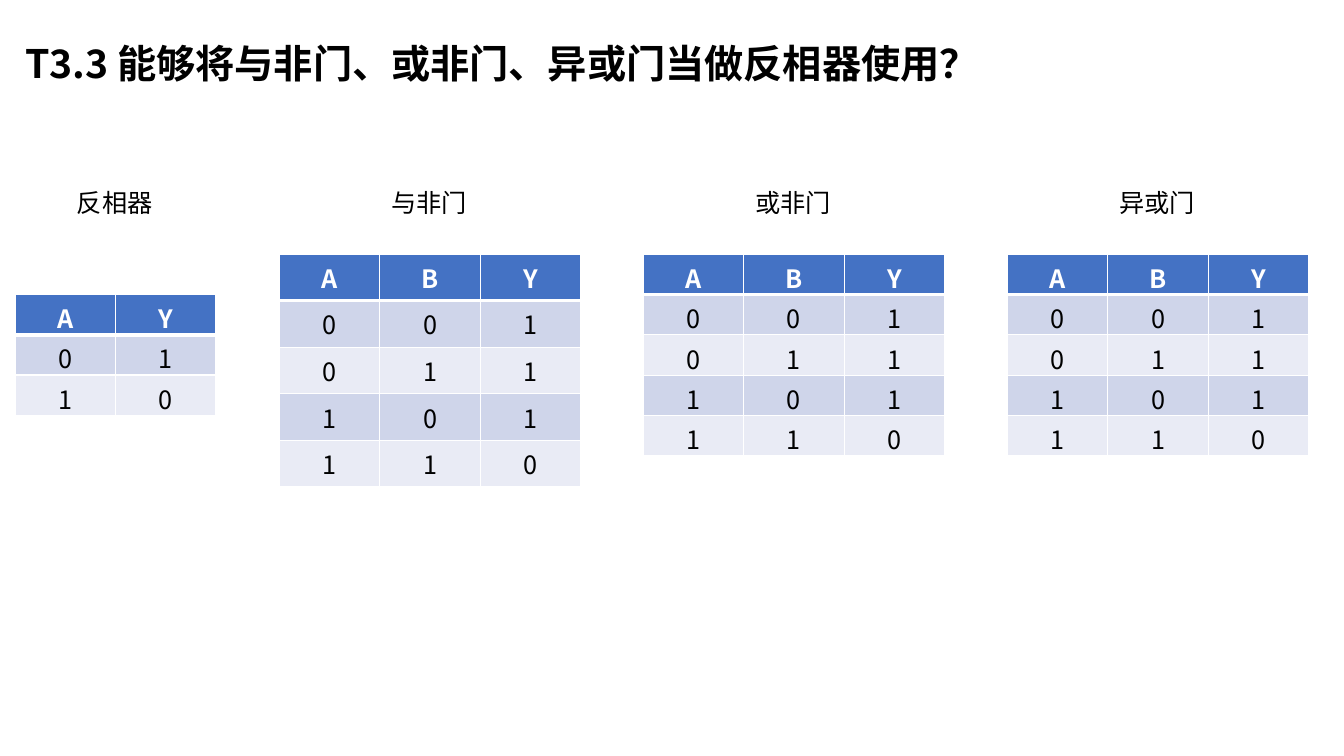
from lxml import etree
from pptx import Presentation
from pptx import util as u
from pptx.dml.color import RGBColor
from pptx.enum import text
from pptx.oxml.ns import qn

PX = 9144


def px(length):
    return u.Emu(round(length * PX))


def rgb(color):
    return RGBColor.from_string(color)


class SlideBuilder:
    font_name = "Noto Sans CJK SC"
    black = "000000"
    white = "FFFFFF"
    header_fill = "4472C4"
    band_fills = ("E9EBF5", "CFD5EA")

    def __init__(self, slide):
        self.slide = slide

    def style(self, paragraph, size, color, bold=False):
        font = paragraph.font
        font.size = u.Pt(size)
        font.bold = bold
        font.color.rgb = rgb(color)
        font.name = self.font_name
        east_asian = etree.SubElement(font._element, qn("a:ea"))
        east_asian.set("typeface", self.font_name)

    def label(self, content, left, top, width, height, size=18, bold=False):
        box = self.slide.shapes.add_textbox(px(left), px(top), px(width), px(height))
        frame = box.text_frame
        frame.word_wrap = False
        frame.auto_size = text.MSO_AUTO_SIZE.SHAPE_TO_FIT_TEXT
        paragraph = frame.paragraphs[0]
        paragraph.text = content
        self.style(paragraph, size, self.black, bold)

    def borders(self, cell, top, bottom):
        properties = cell._tc.get_or_add_tcPr()
        for side, points in (("L", 1), ("R", 1), ("T", top), ("B", bottom)):
            line = etree.SubElement(properties, qn(f"a:ln{side}"))
            line.set("w", str(u.Pt(points)))
            fill = etree.SubElement(line, qn("a:solidFill"))
            etree.SubElement(fill, qn("a:srgbClr")).set("val", self.white)

    def table(self, rows, left, top, width, height):
        frame = self.slide.shapes.add_table(
            len(rows), len(rows[0]), px(left), px(top), px(width), px(height)
        )
        for i, row in enumerate(rows):
            header = i == 0
            for j, value in enumerate(row):
                cell = frame.table.cell(i, j)
                self.borders(cell, 3 if i == 1 else 1, 3 if header else 1)
                cell.fill.solid()
                cell.fill.fore_color.rgb = rgb(
                    self.header_fill if header else self.band_fills[i % 2]
                )
                paragraph = cell.text_frame.paragraphs[0]
                paragraph.text = value
                paragraph.alignment = text.PP_ALIGN.CENTER
                self.style(paragraph, 18, self.white if header else self.black, header)

    def truth_table(self, name, rows, left, top):
        width = 100 * len(rows[0]) - 1
        self.table(rows, left, top, width, 40 * len(rows))
        self.label(name, left + (width - 96) / 2, 181, 96, 40)


def main():
    presentation = Presentation()
    presentation.slide_width = px(1333)
    presentation.slide_height = px(750)
    slide = presentation.slides.add_slide(presentation.slide_layouts[6])
    builder = SlideBuilder(slide)

    gate_rows = ("ABY", "001", "011", "101", "110")
    for i, name in enumerate(("与非门", "或非门", "异或门")):
        builder.truth_table(name, gate_rows, 277 + 361 * i, 252)
    builder.truth_table("反相器", ("AY", "01", "10"), 15, 292)
    builder.label(
        "T3.3 能够将与非门、或非门、异或门当做反相器使用？", 15, 34, 987, 57, 28, True
    )
    presentation.save("out.pptx")


if __name__ == "__main__":
    main()
